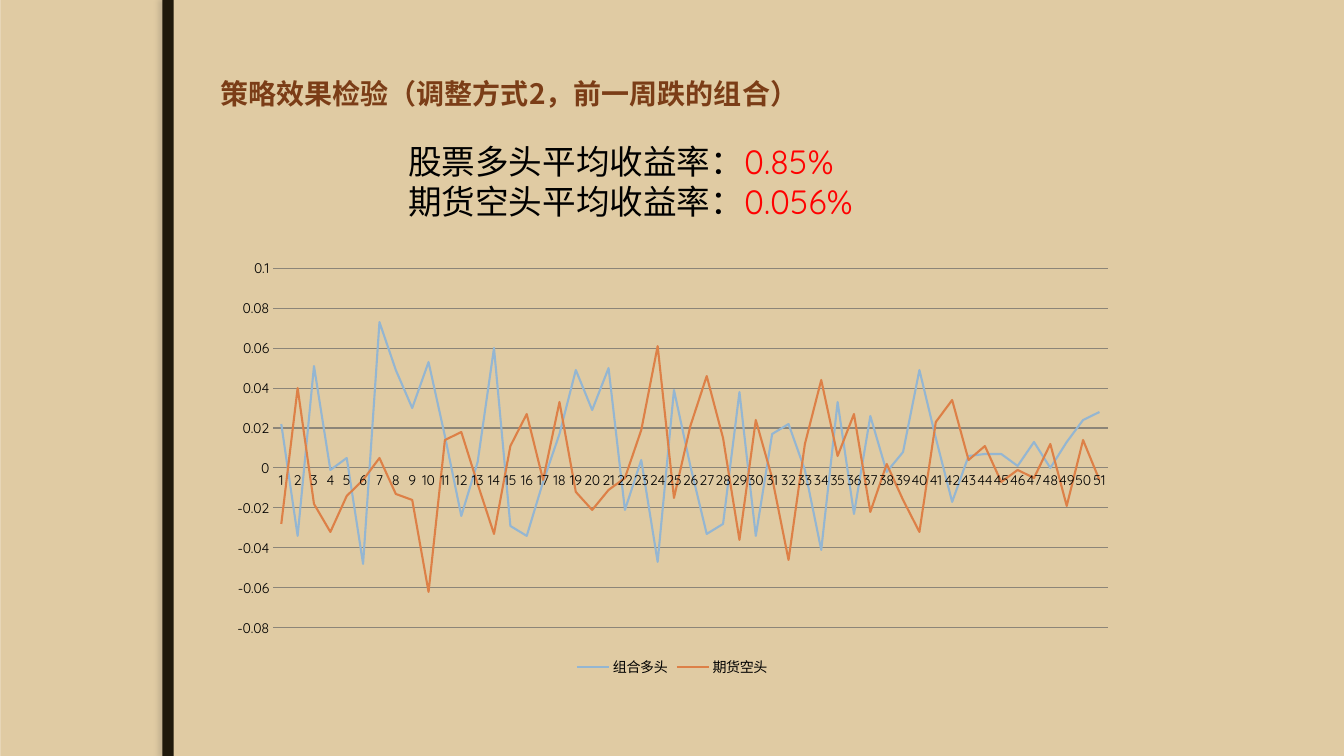
from lxml import etree
from pptx import Presentation
from pptx.chart.data import CategoryChartData
from pptx.dml.color import RGBColor
from pptx.enum.chart import XL_CHART_TYPE, XL_LEGEND_POSITION, XL_TICK_MARK
from pptx.enum.shapes import MSO_SHAPE
from pptx.enum.text import MSO_ANCHOR
from pptx.oxml import parse_xml
from pptx.oxml.ns import nsdecls, qn
from pptx.util import Pt

LINE = XL_CHART_TYPE.LINE
BOTTOM = XL_LEGEND_POSITION.BOTTOM
NO_TICK = XL_TICK_MARK.NONE
RECT = MSO_SHAPE.RECTANGLE
TOP, MIDDLE = MSO_ANCHOR.TOP, MSO_ANCHOR.MIDDLE

THEME = {
    "bg": "EBDDC3", "panel": "E0CBA3", "bar": "20190B", "shadow": "766E60",
    "title": "7B3D17", "text": "000000", "accent": "FF0000", "grid": "8C8578",
    "series": ["94B6D2", "DD8047"],
    "title_font": "Noto Sans CJK SC", "body_font": "Quicksand",
    "title_size": 20, "body_size": 24, "chart_size": 10,
}
SLIDE_W, SLIDE_H = 960, 540

TITLE = "策略效果检验（调整方式2，前一周跌的组合）"
RETURNS = [("股票多头平均收益率：", "0.85%"), ("期货空头平均收益率：", "0.056%")]
SERIES = {
    "组合多头": [
        0.022, -0.034, 0.051, -0.001, 0.005, -0.048, 0.073, 0.049, 0.03, 0.053,
        0.016, -0.024, 0.003, 0.06, -0.029, -0.034, -0.007, 0.017, 0.049, 0.029,
        0.05, -0.021, 0.004, -0.047, 0.039, 0.001, -0.033, -0.028, 0.038, -0.034,
        0.017, 0.022, -0.001, -0.041, 0.033, -0.023, 0.026, -0.002, 0.008, 0.049,
        0.015, -0.017, 0.006, 0.007, 0.007, 0.001, 0.013, 0, 0.013, 0.024, 0.028],
    "期货空头": [
        -0.028, 0.04, -0.018, -0.032, -0.014, -0.006, 0.005, -0.013, -0.016, -0.062,
        0.014, 0.018, -0.008, -0.033, 0.011, 0.027, -0.006, 0.033, -0.012, -0.021,
        -0.011, -0.005, 0.019, 0.061, -0.015, 0.021, 0.046, 0.015, -0.036, 0.024,
        -0.005, -0.046, 0.012, 0.044, 0.006, 0.027, -0.022, 0.002, -0.016, -0.032,
        0.023, 0.034, 0.004, 0.011, -0.007, -0.001, -0.005, 0.012, -0.019, 0.014, -0.006],
}
PLOT_LAYOUT = {"x": 0.06, "y": 0.04, "w": 0.92, "h": 0.84}


def rgb(name):
    return RGBColor.from_string(THEME.get(name, name))


def set_east_asian(rpr, font):
    ea = etree.Element(qn("a:ea"), typeface=font)
    rpr.find(qn("a:latin")).addnext(ea)


def add_rect(s, box, color):
    sp = s.shapes.add_shape(RECT, *map(Pt, box))
    sp.shadow.inherit = False
    sp.fill.solid()
    sp.fill.fore_color.rgb = rgb(color)
    sp.line.fill.background()
    return sp


def add_text(s, lines, box, size, font, colors, bold=False, anchor=TOP):
    tf = s.shapes.add_textbox(*map(Pt, box)).text_frame
    tf.word_wrap = True
    tf.vertical_anchor = anchor
    for i, parts in enumerate(lines):
        p = tf.add_paragraph() if i else tf.paragraphs[0]
        for text, color in zip(parts, colors):
            r = p.add_run()
            r.text = text
            r.font.size = Pt(size)
            r.font.name = font
            r.font.bold = bold
            r.font.color.rgb = rgb(color)
            set_east_asian(r.font._element, font)


def add_returns_chart(s, box):
    data = CategoryChartData()
    count = len(next(iter(SERIES.values())))
    data.categories = [str(week) for week in range(1, count + 1)]
    for name, values in SERIES.items():
        data.add_series(name, values)
    chart = s.shapes.add_chart(LINE, *map(Pt, box), data).chart
    chart.has_title = False
    chart.font.size = Pt(THEME["chart_size"])
    chart.font.name = THEME["body_font"]
    chart.font.color.rgb = rgb("text")
    set_east_asian(chart.font._element, THEME["body_font"])
    chart.has_legend = True
    chart.legend.position = BOTTOM
    chart.legend.include_in_layout = False

    for axis in (chart.category_axis, chart.value_axis):
        axis.major_tick_mark = axis.minor_tick_mark = NO_TICK
    chart.category_axis.format.line.color.rgb = rgb("grid")
    chart.category_axis.format.line.width = Pt(0.75)
    axis = chart.value_axis
    axis.minimum_scale, axis.maximum_scale, axis.major_unit = -0.08, 0.1, 0.02
    axis.format.line.fill.background()
    axis.tick_labels.number_format = "General"
    axis.tick_labels.number_format_is_linked = False
    axis.major_gridlines.format.line.color.rgb = rgb("grid")
    axis.major_gridlines.format.line.width = Pt(0.75)

    plot = chart.plots[0]
    plot.vary_by_categories = False
    for ser, color in zip(plot.series, THEME["series"]):
        ser.smooth = False
        ser.format.line.color.rgb = rgb(color)
        ser.format.line.width = Pt(1.5)

    area = chart._chartSpace.chart.plotArea
    for old in area.findall(qn("c:layout")):
        area.remove(old)
    sizes = "".join(f'<c:{k} val="{v}"/>' for k, v in PLOT_LAYOUT.items())
    area.insert(0, parse_xml(
        f'<c:layout {nsdecls("c")}><c:manualLayout><c:layoutTarget val="inner"/>'
        f'<c:xMode val="edge"/><c:yMode val="edge"/>{sizes}</c:manualLayout></c:layout>'))


def main():
    prs = Presentation()
    prs.slide_width, prs.slide_height = Pt(SLIDE_W), Pt(SLIDE_H)
    s = prs.slides.add_slide(prs.slide_layouts[6])
    s.background.fill.solid()
    s.background.fill.fore_color.rgb = rgb("bg")

    add_rect(s, (0.5, 0, SLIDE_W - 0.5, SLIDE_H), "panel")
    bar = add_rect(s, (116, 0, 8, SLIDE_H), "bar")
    effects = bar._element.spPr.find(qn("a:effectLst"))
    effects.append(parse_xml(
        f'<a:outerShdw {nsdecls("a")} blurRad="{Pt(3)}" dist="{Pt(3)}" dir="10800000">'
        f'<a:srgbClr val="{THEME["shadow"]}"><a:alpha val="25000"/></a:srgbClr></a:outerShdw>'))

    add_text(s, [(TITLE,)], (150.5, 21.6, 787, 90), THEME["title_size"],
             THEME["title_font"], ["title"], bold=True, anchor=MIDDLE)
    add_returns_chart(s, (156.2, 179.3, 648, 306))
    add_text(s, RETURNS, (284.4, 97.2, 428.4, 65.5), THEME["body_size"],
             THEME["body_font"], ["text", "accent"])
    prs.save("out.pptx")


if __name__ == "__main__":
    main()
